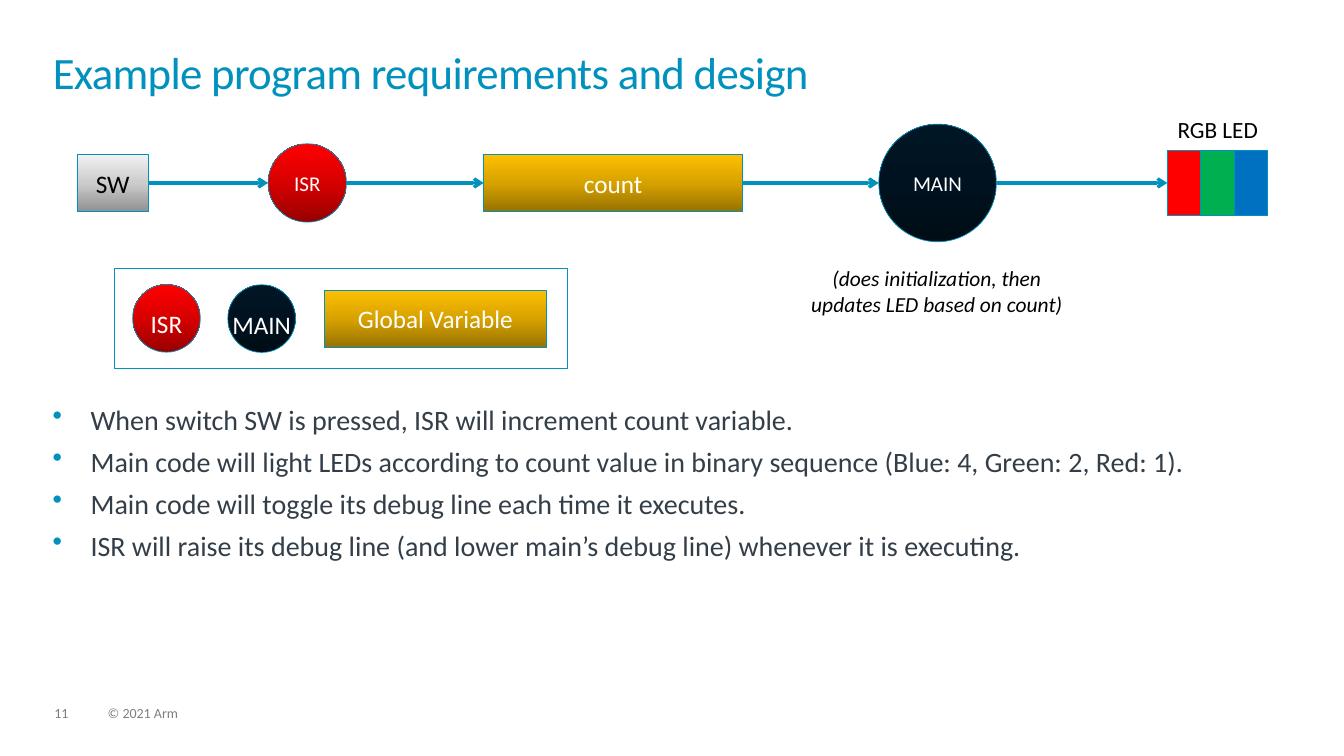
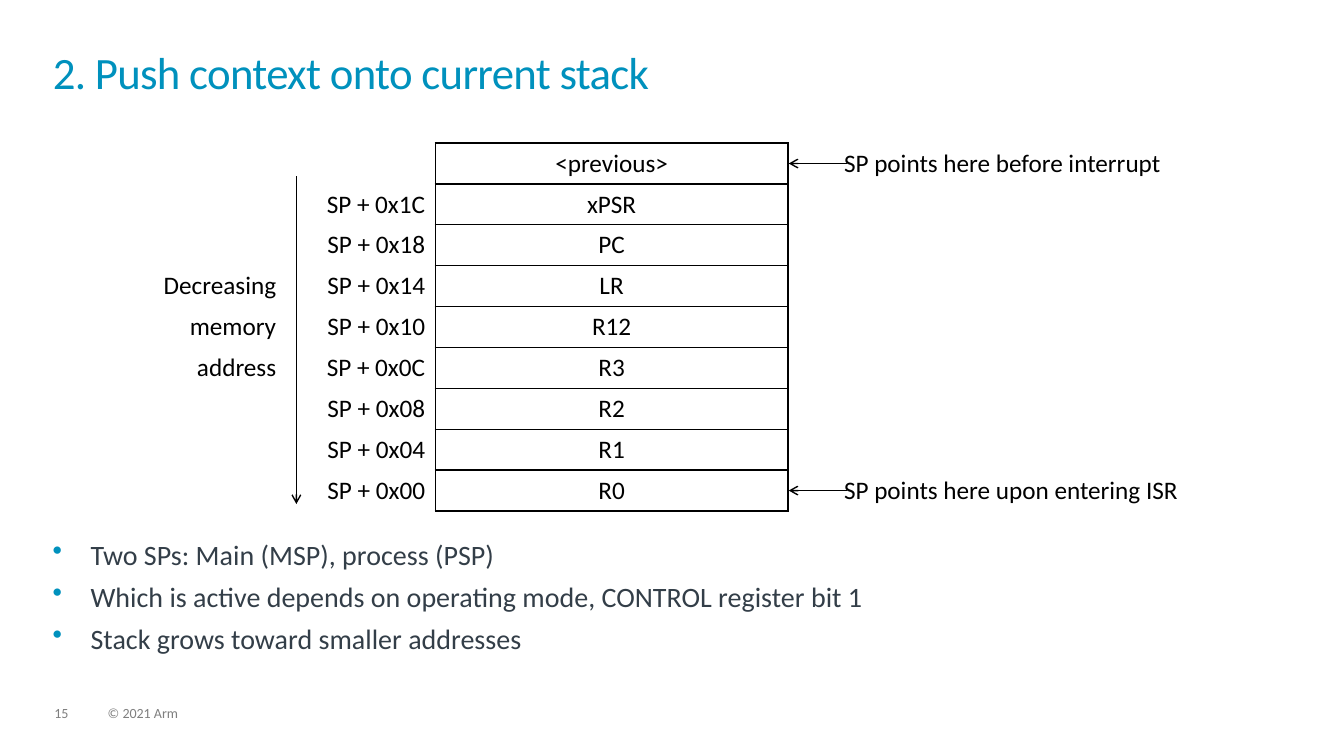
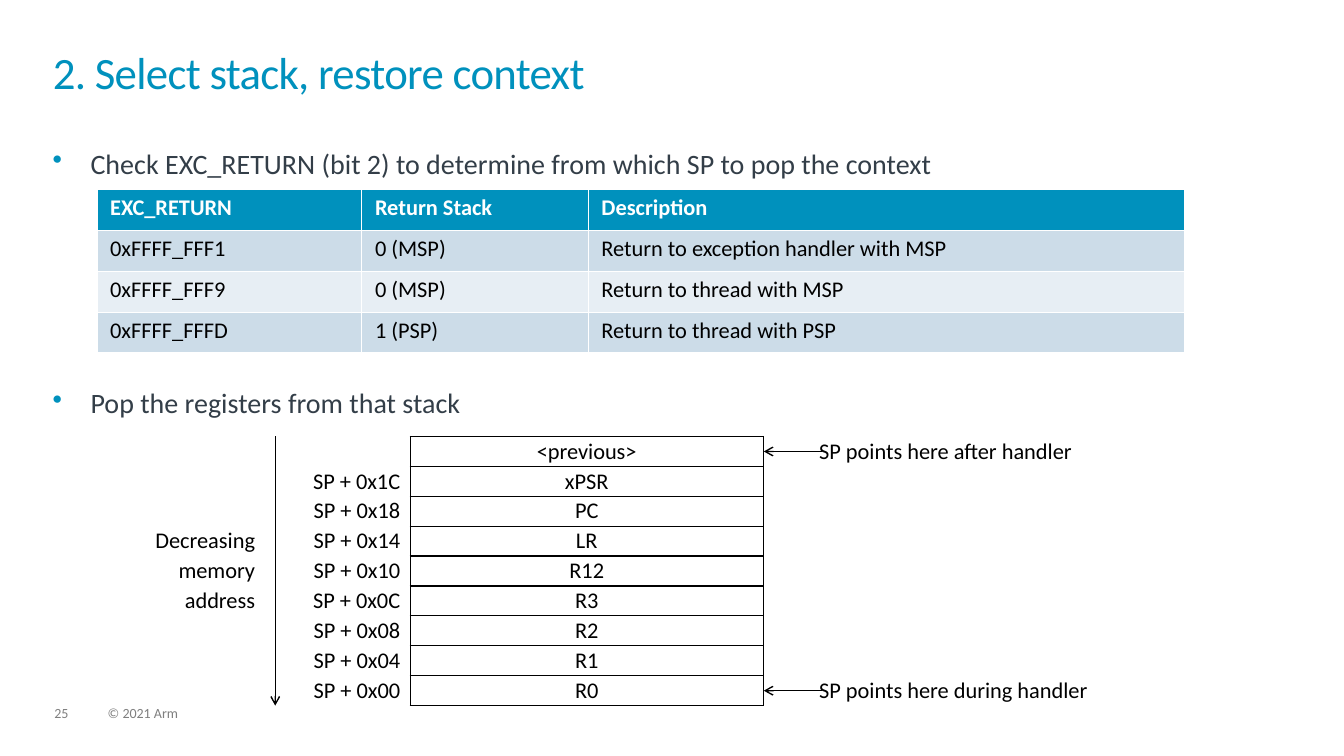
from copy import deepcopy
from itertools import pairwise

from lxml.etree import SubElement
from pptx import Presentation
from pptx.dml.color import RGBColor
from pptx.enum.shapes import MSO_CONNECTOR, MSO_SHAPE
from pptx.enum.text import MSO_ANCHOR, MSO_AUTO_SIZE, PP_ALIGN
from pptx.oxml import parse_xml
from pptx.oxml.ns import nsdecls, qn
from pptx.util import Pt

FONT = "Calibri"
COLOURS = {
    "accent": "0091BD",
    "body": "333E48",
    "footer": "7F7F7F",
    "black": "000000",
    "white": "FFFFFF",
    "red": "FF0000",
    "green": "00B050",
    "blue": "0070C0",
    "band_dark": "CCDCE8",
    "band_light": "E7EEF4",
}
GRADIENTS = {
    "grey": ("909090", "CCCCCC", "F2F2F2"),
    "red": ("970000", "D70000", "FF0000"),
    "gold": ("977200", "D7A200", "FFC000"),
    "navy": ("000D16", "00121F", "001624"),
}
NO_GRID_STYLE = "{2D5ABB26-0587-4C30-8999-92F81FD0307C}"


def write_text(frame, text, size, colour, align=PP_ALIGN.LEFT, margins=(0, 0, 0, 0)):
    frame.text = text
    frame.margin_left, frame.margin_top, frame.margin_right, frame.margin_bottom = map(Pt, margins)
    for paragraph in frame.paragraphs:
        paragraph.alignment = align
        for run in paragraph.runs:
            run.font.name = FONT
            run.font.size = Pt(size)
            run.font.color.rgb = RGBColor.from_string(COLOURS[colour])


def add_arrow(slide, start, end, colour, width):
    arrow = slide.shapes.add_connector(MSO_CONNECTOR.STRAIGHT, *map(Pt, start + end))
    arrow.line.color.rgb = RGBColor.from_string(COLOURS[colour])
    arrow.line.width = Pt(width)
    SubElement(arrow.line._get_or_add_ln(), qn("a:tailEnd"), type="arrow")
    SubElement(arrow._element.spPr, qn("a:effectLst"))
    return arrow


presentation = Presentation()
presentation.slide_width = Pt(960)
presentation.slide_height = Pt(540)

pages = [
    ("11", "Example program requirements and design", 287.3, 194, 6, [
        "When switch SW is pressed, ISR will increment count variable.",
        "Main code will light LEDs according to count value in binary sequence (Blue: 4, Green: 2, Red: 1).",
        "Main code will toggle its debug line each time it executes.",
        "ISR will raise its debug line (and lower main’s debug line) whenever it is executing.",
    ]),
    ("15", "2. Push context onto current stack", 383.8, 98, 6, [
        "Two SPs: Main (MSP), process (PSP)",
        "Which is active depends on operating mode, CONTROL register bit 1",
        "Stack grows toward smaller addresses",
    ]),
    ("25", "2. Select stack, restore context", 104.4, 377, 147, [
        "Check EXC_RETURN (bit 2) to determine from which SP to pop the context",
        "Pop the registers from that stack",
    ]),
]
slides = []
for number, heading, body_top, body_height, gap, bullets in pages:
    slide = presentation.slides.add_slide(presentation.slide_layouts[5])
    slides.append(slide)

    title = slide.shapes.title
    title.left, title.top, title.width, title.height = map(Pt, (37.7, 37.5, 884, 52))
    write_text(title.text_frame, heading, 32, "accent")
    title.text_frame.auto_size = MSO_AUTO_SIZE.NONE
    title.text_frame.vertical_anchor = MSO_ANCHOR.TOP
    title.text_frame.paragraphs[0].line_spacing = 0.85
    title.text_frame.paragraphs[0].runs[0].font._element.set("spc", "-50")

    for left, width, text in ((38.9, 24.5, number), (77, 365, "© 2021 Arm")):
        footer = slide.shapes.add_textbox(Pt(left), Pt(504.7), Pt(width), Pt(11))
        footer.text_frame.word_wrap = True
        write_text(footer.text_frame, text, 10, "footer")
        footer.text_frame.paragraphs[0].line_spacing = 0.9

    body = slide.shapes.add_textbox(Pt(37.7), Pt(body_top), Pt(884), Pt(body_height))
    body.text_frame.word_wrap = True
    write_text(body.text_frame, "\n".join(bullets), 20, "body")
    for index, paragraph in enumerate(body.text_frame.paragraphs):
        properties = paragraph._p.get_or_add_pPr()
        properties.set("marL", str(Pt(27)))
        properties.set("indent", str(-Pt(27)))
        bullet_colour = SubElement(properties, qn("a:buClr"))
        SubElement(bullet_colour, qn("a:srgbClr"), val=COLOURS["accent"])
        SubElement(properties, qn("a:buChar"), char="•")
        if index:
            paragraph.space_before = Pt(gap)

design_slide, push_slide, restore_slide = slides

legend_box = design_slide.shapes.add_shape(MSO_SHAPE.RECTANGLE, Pt(81.7), Pt(191.5), Pt(323.3), Pt(72))
legend_box.shadow.inherit = False
legend_box.fill.background()
legend_box.line.color.rgb = RGBColor.from_string(COLOURS["accent"])
legend_box.line.width = Pt(0.5)

flow_middle = 130.7
RECTANGLE, OVAL = MSO_SHAPE.RECTANGLE, MSO_SHAPE.OVAL
blocks = [
    (RECTANGLE, 55, flow_middle, 51, 41, "grey", "SW", 18, "black", 0),
    (OVAL, 191.5, flow_middle, 56, 56, "red", "ISR", 15, "white", 0),
    (RECTANGLE, 345.5, flow_middle, 185, 41, "gold", "count", 18, "white", 0),
    (OVAL, 627.7, flow_middle, 84, 84, "navy", "MAIN", 15, "white", 0),
    (RECTANGLE, 231.8, 227.8, 158.5, 41, "gold", "Global Variable", 18, "white", 0),
    (OVAL, 162.7, 227.6, 48.4, 48.4, "navy", "MAIN", 18, "white", 8),
    (OVAL, 94.7, 227.4, 48.4, 48.4, "red", "ISR", 18, "white", 8),
]
block_shapes = []
for kind, left, middle, width, height, gradient, label, size, colour, drop in blocks:
    block = design_slide.shapes.add_shape(kind, Pt(left), Pt(middle - height / 2), Pt(width), Pt(height))
    block_shapes.append(block)
    block.shadow.inherit = False
    block.fill.gradient()
    block.fill.gradient_angle = 90
    stop_list = block._element.spPr.find(qn("a:gradFill")).find(qn("a:gsLst"))
    stop_list.insert(1, deepcopy(stop_list[0]))
    for stop, position, shade in zip(block.fill.gradient_stops, (0, 0.5, 1), GRADIENTS[gradient]):
        stop.position = position
        stop.color.rgb = RGBColor.from_string(shade)
    block.line.color.rgb = RGBColor.from_string(COLOURS["accent"])
    block.line.width = Pt(0.5)
    write_text(block.text_frame, label, size, colour, PP_ALIGN.CENTER, (0, drop, 0, 0))
    block.text_frame.word_wrap = False
    block.text_frame.vertical_anchor = MSO_ANCHOR.MIDDLE

led_left, led_width, led_height = 833.8, 23.9, 47
led_shapes = []
for index, colour in enumerate(("red", "green", "blue")):
    led = design_slide.shapes.add_shape(
        RECTANGLE, Pt(led_left + index * led_width), Pt(flow_middle - led_height / 2), Pt(led_width), Pt(led_height))
    led_shapes.append(led)
    led.shadow.inherit = False
    led.fill.solid()
    led.fill.fore_color.rgb = RGBColor.from_string(COLOURS[colour])
    led.line.color.rgb = RGBColor.from_string(COLOURS["accent"])
    led.line.width = Pt(0.5)

for source, target in pairwise(block_shapes[:4] + led_shapes[:1]):
    start = (source.left.pt + source.width.pt, flow_middle)
    arrow = add_arrow(design_slide, start, (target.left.pt, flow_middle), "accent", 2.25)
    if source.auto_shape_type == RECTANGLE:
        arrow.begin_connect(source, 3)
    if target.auto_shape_type == RECTANGLE:
        arrow.end_connect(target, 1)

captions = [
    (833.8, 82, 72, 19, "RGB LED", 16.6, False),
    (570.2, 189.4, 198, 40, "(does initialization, then updates LED based on count)", 15.3, True),
]
for left, top, width, height, text, size, italic in captions:
    caption = design_slide.shapes.add_textbox(Pt(left), Pt(top), Pt(width), Pt(height))
    caption.text_frame.word_wrap = True
    write_text(caption.text_frame, text, size, "black", PP_ALIGN.CENTER)
    caption.text_frame.paragraphs[0].runs[0].font.italic = italic

return_rows = [
    ("EXC_RETURN", "Return Stack", "Description"),
    ("0xFFFF_FFF1", "0 (MSP)", "Return to exception handler with MSP"),
    ("0xFFFF_FFF9", "0 (MSP)", "Return to thread with MSP"),
    ("0xFFFF_FFFD", "1 (PSP)", "Return to thread with PSP"),
]
return_fills = ("accent", "band_dark", "band_light", "band_dark")
return_table = restore_slide.shapes.add_table(4, 3, Pt(69.3), Pt(135.4), Pt(777), Pt(116.8)).table
for column, width in zip(return_table.columns, (189.2, 161.8, 426)):
    column.width = Pt(width)
for row_index, (texts, fill) in enumerate(zip(return_rows, return_fills)):
    for column_index, text in enumerate(texts):
        cell = return_table.cell(row_index, column_index)
        cell.fill.solid()
        cell.fill.fore_color.rgb = RGBColor.from_string(COLOURS[fill])
        write_text(cell.text_frame, text, 16, "black" if row_index else "white")
        cell.text_frame.paragraphs[0].runs[0].font.bold = row_index == 0
        cell.margin_left = cell.margin_right = Pt(9.4)
        cell.margin_top = cell.margin_bottom = Pt(3.6)

registers = ("<previous>", "xPSR", "PC", "LR", "R12", "R3", "R2", "R1", "R0")
offsets = ("", "0x1C", "0x18", "0x14", "0x10", "0x0C", "0x08", "0x04", "0x00")
directions = ("", "", "", "Decreasing", "memory", "address", "", "", "")
stack_aligns = (PP_ALIGN.RIGHT, PP_ALIGN.RIGHT, PP_ALIGN.CENTER, PP_ALIGN.LEFT)
stacks = [
    (push_slide, 67.7, 102.2, 29.2, 99.2, 18, 3.6, (126, 360),
     "SP points here before interrupt", "SP points here upon entering ISR"),
    (restore_slide, 52.6, 311.8, 21.36, 96.5, 16, 0, (311.8, 504),
     "SP points here after handler", "SP points here during handler"),
]
for slide, left, top, row_height, offset_width, size, padding, span, first_note, last_note in stacks:
    widths = (144, offset_width, 252, 337.7)
    notes = (first_note, *[""] * 7, last_note)
    frame = slide.shapes.add_table(9, 4, Pt(left), Pt(top), Pt(sum(widths)), Pt(9 * row_height))
    table = frame.table
    table.first_row = table.horz_banding = False
    table._tbl.tblPr.find(qn("a:tableStyleId")).text = NO_GRID_STYLE
    for column, width in zip(table.columns, widths):
        column.width = Pt(width)
    for row_index, (direction, offset, register, note) in enumerate(zip(directions, offsets, registers, notes)):
        table.rows[row_index].height = Pt(row_height)
        texts = (direction, f"SP + {offset}" if offset else "", register, note)
        for column_index, text in enumerate(texts):
            cell = table.cell(row_index, column_index)
            cell.fill.background()
            write_text(cell.text_frame, text, size, "black", stack_aligns[column_index])
            cell.text_frame.paragraphs[0]._p.get_or_add_endParaRPr().set("sz", str(size * 100))
            cell.vertical_anchor = MSO_ANCHOR.MIDDLE
            cell.margin_top = cell.margin_bottom = Pt(padding)
            cell.margin_left = Pt(40 if column_index == 3 else 7.2)
            cell.margin_right = Pt(14.4 if column_index == 0 else 7.2)
            sides = ("", "R", "LRTB", "L")[column_index]
            for position, side in enumerate(sides):
                border = parse_xml(
                    f'<a:ln{side} {nsdecls("a")} w="{Pt(1)}"><a:solidFill>'
                    f'<a:srgbClr val="{COLOURS["black"]}"/></a:solidFill></a:ln{side}>')
                cell._tc.get_or_add_tcPr().insert(position, border)

    stack_right = left + sum(widths[:3])
    for row_index in (0, 8):
        row_middle = top + (row_index + 0.5) * row_height
        add_arrow(slide, (stack_right + 42, row_middle), (stack_right + 0.5, row_middle), "black", 1)
    axis = left + widths[0]
    add_arrow(slide, (axis, span[0]), (axis, span[1]), "black", 1)

presentation.save("out.pptx")
